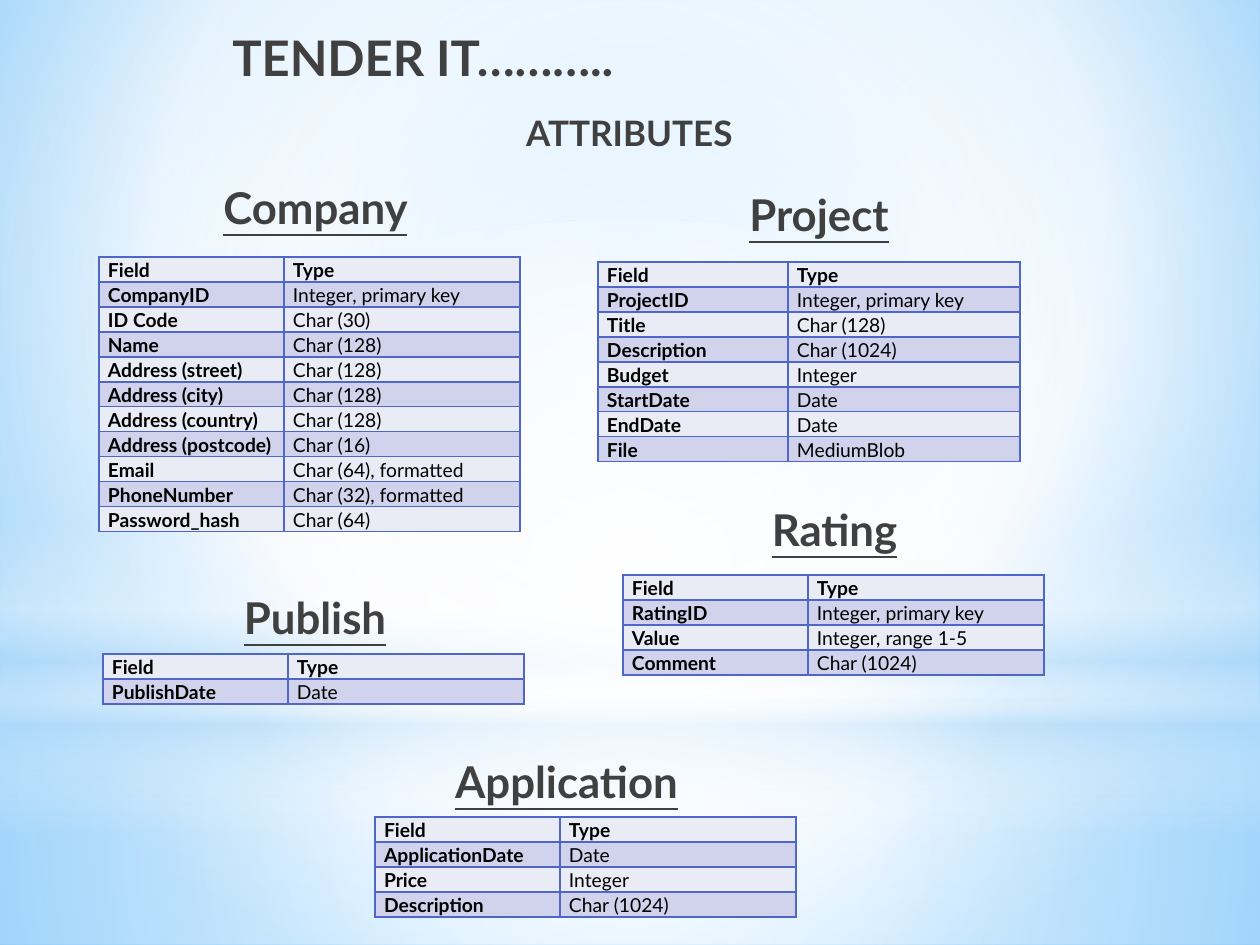
from lxml.etree import SubElement
from pptx import Presentation
from pptx.dml.color import RGBColor
from pptx.enum.shapes import MSO_SHAPE
from pptx.enum.text import MSO_ANCHOR, PP_ALIGN
from pptx.oxml.ns import qn
from pptx.util import Emu, Pt

FONT = "Lato"
HEADING = RGBColor(0x40, 0x40, 0x40)
BLACK = RGBColor(0x00, 0x00, 0x00)
BORDER = RGBColor(0x4E, 0x67, 0xC8)
BANDS = (RGBColor(0xE9, 0xEB, 0xF5), RGBColor(0xD0, 0xD3, 0xEB))
WHITE = RGBColor(0xFF, 0xFF, 0xFF)
PALE_BLUE = RGBColor(0xB4, 0xDC, 0xFA)
SKY = RGBColor(0x9E, 0xD5, 0xFF)
DEEP_SKY = RGBColor(0x5B, 0xB9, 0xFF)

WIDTH, HEIGHT, ROW = 1260, 945, 25
CENTRE = (50, 50, 50, 50)

# heading box, table position, column widths, fields
ENTITIES = {
    "Company": ((90, 167, 451, 72), (99, 257), (185, 236), [
        ("CompanyID", "Integer, primary key"),
        ("ID Code", "Char (30)"),
        ("Name", "Char (128)"),
        ("Address (street)", "Char (128)"),
        ("Address (city)", "Char (128)"),
        ("Address (country)", "Char (128)"),
        ("Address (postcode)", "Char (16)"),
        ("Email", "Char (64), formatted"),
        ("PhoneNumber", "Char (32), formatted"),
        ("Password_hash", "Char (64)")]),
    "Project": ((599, 158, 440, 88), (598, 262), (190, 232), [
        ("ProjectID", "Integer, primary key"),
        ("Title", "Char (128)"),
        ("Description", "Char (1024)"),
        ("Budget", "Integer"),
        ("StartDate", "Date"),
        ("EndDate", "Date"),
        ("File", "MediumBlob")]),
    "Publish": ((105, 561, 420, 88), (103, 654), (185, 236), [
        ("PublishDate", "Date")]),
    "Rating": ((609, 473, 451, 88), (623, 575), (185, 236), [
        ("RatingID", "Integer, primary key"),
        ("Value", "Integer, range 1-5"),
        ("Comment", "Char (1024)")]),
    "Application": ((336, 725, 461, 88), (375, 817), (185, 236), [
        ("ApplicationDate", "Date"),
        ("Price", "Integer"),
        ("Description", "Char (1024)")]),
}


def px(n):
    return Emu(round(n * 914400 / 126))


def add_color(parent, color, alpha=100):
    clr = SubElement(parent, qn("a:srgbClr"), val=str(color))
    if alpha < 100:
        SubElement(clr, qn("a:alpha"), val=str(alpha * 1000))


def set_gradient(fill, owner, stops, focus=None):
    """Radial towards the focus insets, or top to bottom without them."""
    fill.gradient()
    grad = owner.xpath(".//a:gradFill")[0]
    for child in list(grad):
        grad.remove(child)
    gs_lst = SubElement(grad, qn("a:gsLst"))
    for pos, color, alpha in stops:
        add_color(SubElement(gs_lst, qn("a:gs"), pos=str(pos * 1000)), color, alpha)
    if focus:
        way = SubElement(grad, qn("a:path"), path="circle")
        insets = {side: str(v * 1000) for side, v in zip("ltrb", focus)}
        SubElement(way, qn("a:fillToRect"), **insets)
    else:
        SubElement(grad, qn("a:lin"), ang="5400000", scaled="0")


def set_text(tf, text, size=11, color=BLACK, bold=True, underline=None,
             align=PP_ALIGN.LEFT, line=None, before=None, after=None):
    p = tf.paragraphs[0]
    p.alignment, p.line_spacing = align, line
    p.space_before, p.space_after = before, after
    r = p.add_run()
    r.text = text
    f = r.font
    f.name, f.size, f.bold, f.underline = FONT, Pt(size), bold, underline
    f.color.rgb = color


def add_text(s, box, text, anchor=MSO_ANCHOR.TOP, **fmt):
    tf = s.shapes.add_textbox(*map(px, box)).text_frame
    tf.word_wrap = True
    tf.vertical_anchor = anchor
    set_text(tf, text, color=HEADING, **fmt)


def add_glow(s, kind, box, stops, focus=None):
    sp = s.shapes.add_shape(kind, *map(px, box))
    sp.shadow.inherit = False
    sp.line.fill.background()
    set_gradient(sp.fill, sp.element, stops, focus)


def add_backdrop(s):
    set_gradient(s.background.fill, s.element,
                 [(0, SKY, 100), (60, WHITE, 100), (100, DEEP_SKY, 100)],
                 (20, 10, 20, 60))
    rect = MSO_SHAPE.RECTANGLE
    horizon = 703
    # floor and sky
    add_glow(s, rect, (0, horizon, WIDTH, HEIGHT - horizon),
             [(0, WHITE, 91), (37, WHITE, 76), (100, PALE_BLUE, 79)], CENTRE)
    add_glow(s, rect, (0, 0, WIDTH, horizon),
             [(0, WHITE, 89), (48, WHITE, 62), (100, PALE_BLUE, 79)], CENTRE)
    # haze along the horizon
    add_glow(s, rect, (0, 519, WIDTH, 315),
             [(0, WHITE, 0), (29, WHITE, 30), (45, PALE_BLUE, 40),
              (55, WHITE, 26), (65, PALE_BLUE, 60), (100, WHITE, 0)])
    # central light
    add_glow(s, MSO_SHAPE.OVAL, (0, 220, WIDTH, horizon),
             [(0, WHITE, 100), (56, WHITE, 0)], CENTRE)


def set_borders(cell):
    tc_pr = cell._tc.get_or_add_tcPr()
    for i, side in enumerate(("lnL", "lnR", "lnT", "lnB")):
        ln = SubElement(tc_pr, qn(f"a:{side}"), w=str(Pt(1)))
        add_color(SubElement(ln, qn("a:solidFill")), BORDER)
        tc_pr.insert(i, ln)


def add_field_table(s, left, top, widths, fields):
    rows = [("Field", "Type")] + fields
    table = s.shapes.add_table(len(rows), 2, px(left), px(top),
                               px(sum(widths)), px(ROW * len(rows))).table
    for col, width in zip(table.columns, widths):
        col.width = px(width)
    for i, row in enumerate(rows):
        table.rows[i].height = px(ROW)
        for j, text in enumerate(row):
            cell = table.cell(i, j)
            cell.margin_left = cell.margin_right = px(9)
            cell.margin_top = cell.margin_bottom = 0
            cell.fill.solid()
            cell.fill.fore_color.rgb = BANDS[i % 2]
            set_borders(cell)
            set_text(cell.text_frame, text, bold=i == 0 or j == 0,
                     align=PP_ALIGN.JUSTIFY, line=1.07)


def add_entity(s, name, box, origin, widths, fields):
    add_text(s, box, name, anchor=MSO_ANCHOR.BOTTOM, size=25, underline=True,
             align=PP_ALIGN.CENTER, before=Pt(5), after=Pt(3))
    add_field_table(s, *origin, widths, fields)


def main():
    prs = Presentation()
    prs.slide_width, prs.slide_height = px(WIDTH), px(HEIGHT)
    s = prs.slides.add_slide(prs.slide_layouts[6])
    add_backdrop(s)
    # titles
    add_text(s, (220, 21, 897, 158), "TENDER IT………..", size=28)
    add_text(s, (220, 105, 819, 78), "ATTRIBUTES", size=20, align=PP_ALIGN.CENTER)
    # entities
    for name, parts in ENTITIES.items():
        add_entity(s, name, *parts)
    prs.save("out.pptx")


if __name__ == "__main__":
    main()
